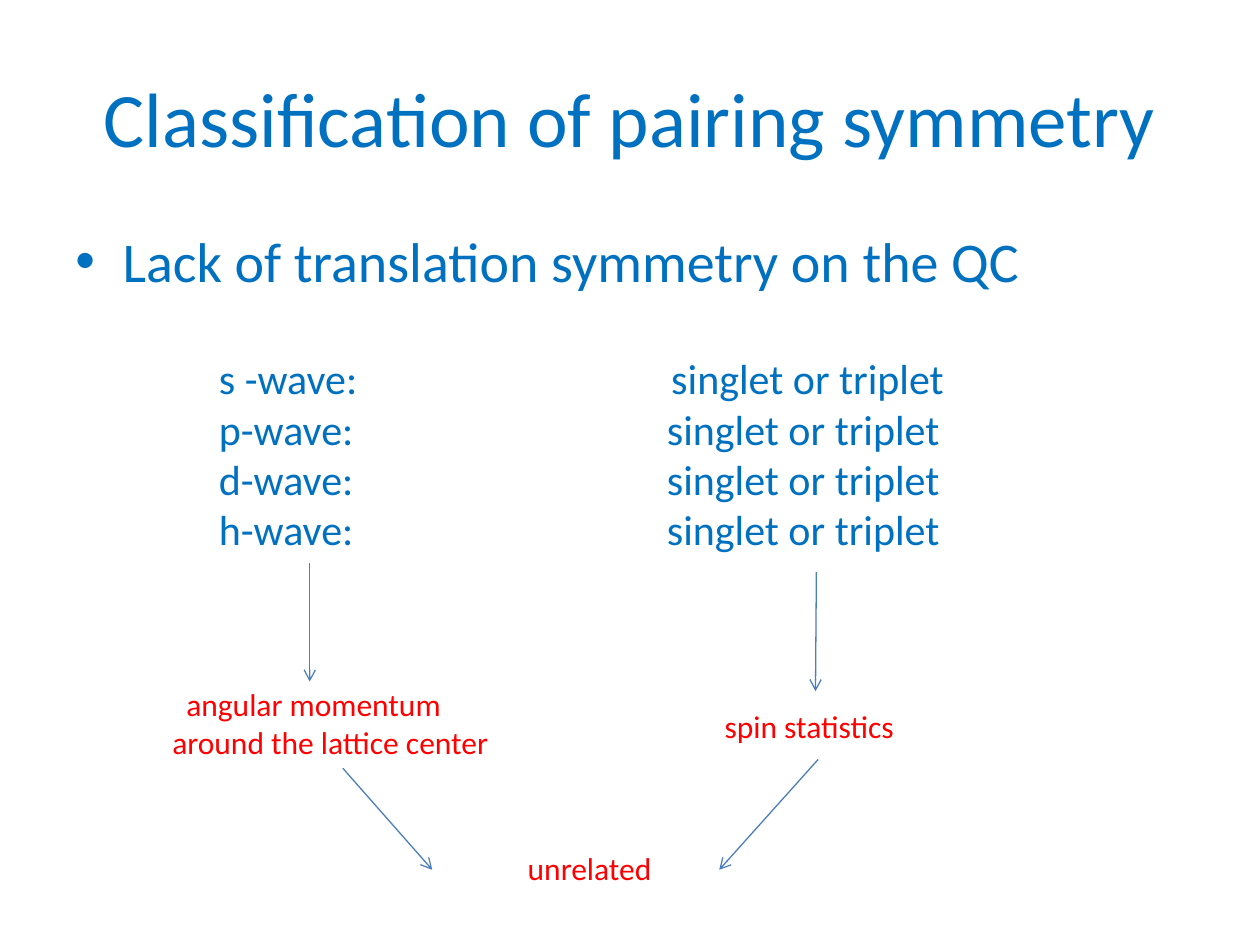
from lxml import etree
from pptx import Presentation
from pptx.dml.color import RGBColor
from pptx.enum import shapes, text
from pptx.oxml import ns
from pptx.util import Pt

BLUE = RGBColor(0x00, 0x70, 0xC0)
RED = RGBColor(0xFF, 0x00, 0x00)
ARROW_BLUE = RGBColor(0x4B, 0x7E, 0xBC)

presentation = Presentation()
presentation.slide_width, presentation.slide_height = Pt(720), Pt(540)
slide = presentation.slides.add_slide(presentation.slide_layouts[6])


def add_text(left, top, width, height, lines, size, color):
    """Add a wrapping text box with one single-run paragraph per line."""
    box = slide.shapes.add_textbox(Pt(left), Pt(top), Pt(width), Pt(height))
    frame = box.text_frame
    frame.word_wrap = True
    for index, line in enumerate(lines):
        paragraph = frame.add_paragraph() if index else frame.paragraphs[0]
        run = paragraph.add_run()
        run.text = line
        run.font.name = "Calibri"
        run.font.size = Pt(size)
        run.font.color.rgb = color
    return box


def add_arrow(x1, y1, x2, y2):
    arrow = slide.shapes.add_connector(
        shapes.MSO_CONNECTOR.STRAIGHT, Pt(x1), Pt(y1), Pt(x2), Pt(y2))
    arrow.line.color.rgb = ARROW_BLUE
    arrow.line.width = Pt(0.75)
    etree.SubElement(arrow.line._get_or_add_ln(), ns.qn("a:tailEnd"), type="arrow")
    etree.SubElement(arrow._element.spPr, ns.qn("a:effectLst"))
    return arrow


# Title and bullet
title = add_text(36, 21.6, 648, 90, ["Classification of pairing symmetry"], 44, BLUE)
title.text_frame.vertical_anchor = text.MSO_ANCHOR.MIDDLE
title.text_frame.paragraphs[0].alignment = text.PP_ALIGN.CENTER

body = add_text(36, 126, 648, 356.4, ["Lack of translation symmetry on the QC"], 32, BLUE)
properties = body.text_frame.paragraphs[0]._p.get_or_add_pPr()
properties.set("marL", str(Pt(27)))
properties.set("indent", str(Pt(-27)))
etree.SubElement(properties, ns.qn("a:buFont"), typeface="Arial")
etree.SubElement(properties, ns.qn("a:buChar"), char="•")

# Wave types, with the spin states aligned at a tab stop
waves = ["s -wave:", "p-wave:", "d-wave:", "h-wave:"]
wave_box = add_text(118, 198, 484, 124,
                    [f"{wave}\tsinglet or triplet" for wave in waves], 24, BLUE)
for index, paragraph in enumerate(wave_box.text_frame.paragraphs):
    tab_list = etree.SubElement(paragraph._p.get_or_add_pPr(), ns.qn("a:tabLst"))
    position = Pt(256 if index else 258.5)
    etree.SubElement(tab_list, ns.qn("a:tab"), pos=str(position), algn="l")

# Meaning of each column
momentum = add_text(91.4, 388, 209, 51,
                    ["angular momentum around the lattice center"], 18, RED)
momentum.text_frame.paragraphs[0]._p.get_or_add_pPr().set("indent", str(Pt(8)))
spin = add_text(375, 400.5, 209, 29, ["spin statistics"], 18, RED)
spin.text_frame.margin_left = Pt(39)
add_text(294.5, 481.7, 114, 29, ["unrelated"], 18, RED)

# Arrows
add_arrow(177, 322, 177, 389.5)
add_arrow(466.5, 327, 466, 395)
add_arrow(196, 439, 247, 497).begin_connect(momentum, 2)
add_arrow(467.5, 434, 411, 497)

presentation.save("out.pptx")
